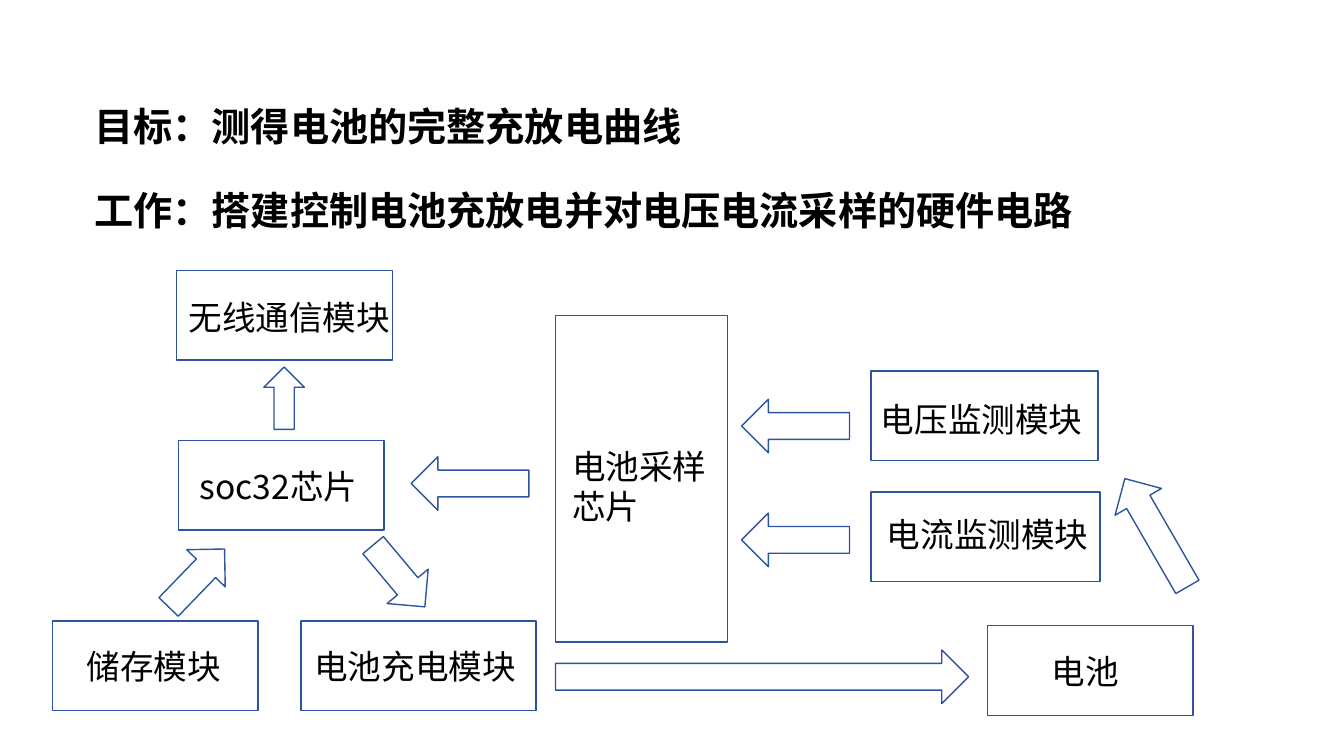
"""Build the battery charge and discharge test block diagram slide."""
from dataclasses import dataclass

import pptx
import pptx.dml.color
import pptx.enum.shapes
import pptx.oxml
import pptx.oxml.ns
import pptx.util

Cm = pptx.util.Cm
Pt = pptx.util.Pt
MSO = pptx.enum.shapes.MSO_SHAPE
COLORS = {"fill": "FFFFFF", "line": "2E54A1", "text": "000000"}
FONT = "Noto Sans CJK SC"
BLOCK_H = 2.26
ARROW_H = 1.35


@dataclass
class Block:
    left: float
    top: float
    width: float
    text: str
    text_left: float
    text_top: float
    text_width: float
    height: float = BLOCK_H


@dataclass
class Arrow:
    kind: MSO
    left: float
    top: float
    width: float
    height: float = ARROW_H
    rotation: float = 0


BLOCKS = [
    Block(21.95, 9.35, 5.72, "电压监测模块", 21.95, 9.91, 5.82),
    Block(21.95, 12.4, 5.77, "电流监测模块", 22.1, 12.83, 6.05),
    Block(14, 7.95, 4.34, "电池采样芯片", 14.17, 11.1, 3.99, 8.23),
    Block(4.5, 11.1, 5.18, "soc32芯片", 4.78, 11.61, 5.11),
    Block(1.32, 15.65, 5.18, "储存模块", 1.93, 16.15, 4.98),
    Block(4.45, 6.81, 5.44, "无线通信模块", 4.5, 7.34, 8),
    Block(7.59, 15.65, 5.92, "电池充电模块", 7.67, 16.15, 5.84),
    Block(24.89, 15.77, 5.18, "电池", 26.26, 16.26, 4.98),
]
ARROWS = [
    Arrow(MSO.LEFT_ARROW, 18.69, 10.06, 2.72),
    Arrow(MSO.LEFT_ARROW, 18.69, 12.93, 2.72),
    Arrow(MSO.RIGHT_ARROW, 3.94, 13.89, 2.03, rotation=314),
    Arrow(MSO.UP_ARROW, 6.65, 9.25, 1.02, 1.57),
    Arrow(MSO.RIGHT_ARROW, 9.04, 13.84, 2.03, rotation=50),
    Arrow(MSO.RIGHT_ARROW, 14, 16.38, 10.41),
    Arrow(MSO.LEFT_ARROW, 27.56, 12.75, 3.15, rotation=60),
    Arrow(MSO.LEFT_ARROW, 10.36, 11.51, 2.97),
]
HEADINGS = ["目标：测得电池的完整充放电曲线", "工作：搭建控制电池充放电并对电压电流采样的硬件电路"]


def rgb(name: str) -> pptx.dml.color.RGBColor:
    return pptx.dml.color.RGBColor.from_string(COLORS[name])


def add_outline(slide, kind: MSO, left: float, top: float, width: float,
                height: float, rotation: float = 0) -> None:
    sp = slide.shapes.add_shape(kind, Cm(left), Cm(top), Cm(width), Cm(height))
    sp.rotation = rotation
    sp.shadow.inherit = False
    sp.fill.solid()
    sp.fill.fore_color.rgb = rgb("fill")
    sp.line.color.rgb = rgb("line")
    sp.line.width = Pt(1)


def add_text(slide, lines: list[str], left: float, top: float, width: float,
             height: float, size: float, bold: bool = False,
             margin_top: float = 0.13, gap: float = 0) -> None:
    sp = slide.shapes.add_textbox(Cm(left), Cm(top), Cm(width), Cm(height))
    tf = sp.text_frame
    tf.word_wrap = True
    tf.margin_top = Cm(margin_top)
    font_format = {"name": FONT, "size": Pt(size), "bold": bold}
    for i, line in enumerate(lines):
        p = tf.add_paragraph() if i else tf.paragraphs[0]
        if i:
            p.space_before = Pt(gap)
        r = p.add_run()
        r.text = line
        for key, value in font_format.items():
            setattr(r.font, key, value)
        r.font.color.rgb = rgb("text")
        ea = pptx.oxml.parse_xml(
            f'<a:ea {pptx.oxml.ns.nsdecls("a")} typeface="{FONT}"/>')
        r.font._element.append(ea)


def add_block(slide, block: Block) -> None:
    add_outline(slide, MSO.RECTANGLE, block.left, block.top, block.width, block.height)
    add_text(slide, [block.text], block.text_left, block.text_top,
             block.text_width, 1.22, 24)


def add_arrow(slide, arrow: Arrow) -> None:
    add_outline(slide, arrow.kind, arrow.left, arrow.top, arrow.width,
                arrow.height, arrow.rotation)


def main() -> None:
    prs = pptx.Presentation()
    prs.slide_width, prs.slide_height = Cm(33.87), Cm(19.05)
    s = prs.slides.add_slide(prs.slide_layouts[6])
    add_text(s, HEADINGS, 2.13, 1.78, 25.65, 4.62, 28, True, 0.79, 26.5)
    for block in BLOCKS:
        add_block(s, block)
    for arrow in ARROWS:
        add_arrow(s, arrow)
    prs.save("out.pptx")


if __name__ == "__main__":
    main()
